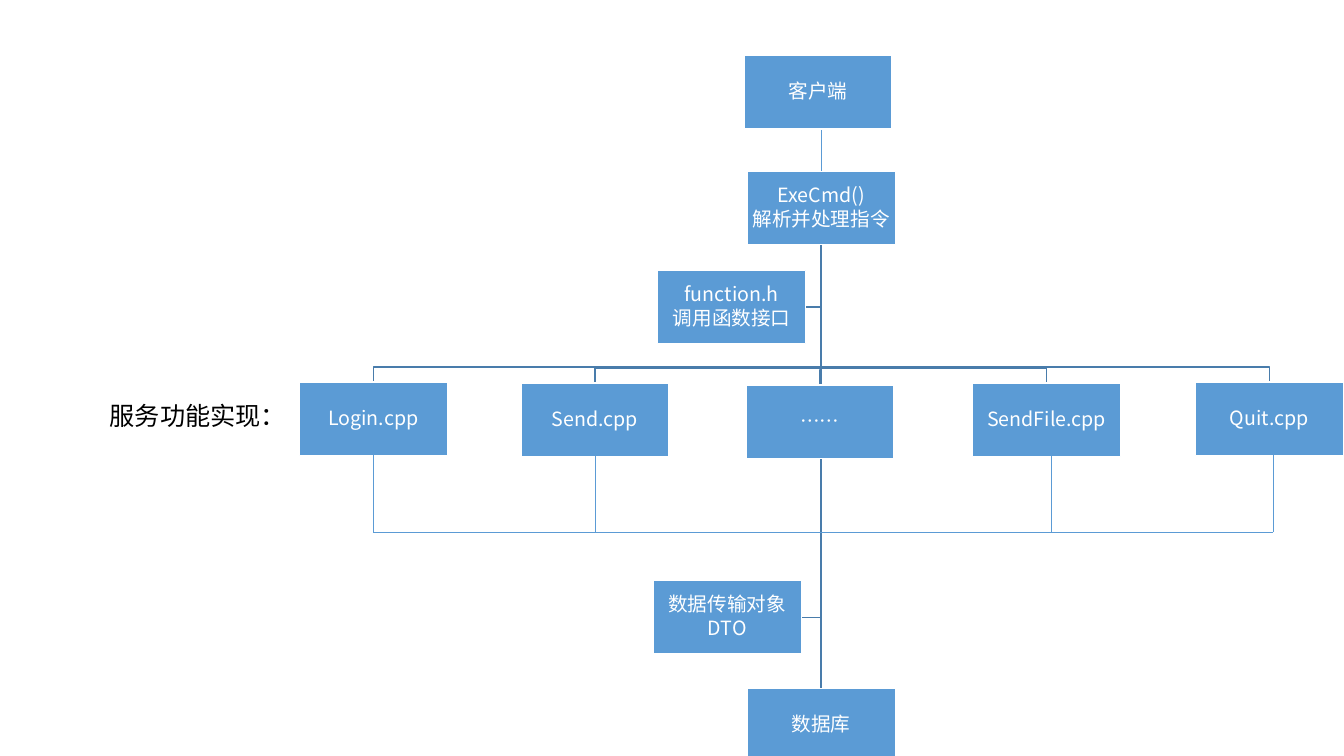
from dataclasses import dataclass

from lxml import etree
from pptx import Presentation
from pptx.dml.color import RGBColor
from pptx.enum import shapes, text
from pptx.oxml.ns import qn
from pptx.util import Pt


@dataclass(frozen=True)
class Theme:
    font: str = "Noto Sans CJK SC"
    fill: str = "5B9BD5"
    branch: str = "497CAB"
    light: str = "FFFFFF"
    dark: str = "000000"
    box_size: float = 14
    label_size: float = 18
    branch_width: float = 1
    link_width: float = 0.5


BOX_WIDTH, BOX_HEIGHT = 105.8, 52.4
TOP, BOTTOM = 0, 2


def write(frame, content, size, color, align=None, spacing=None, after=None):
    for index, line in enumerate(content.split("\n")):
        para = frame.paragraphs[0] if index == 0 else frame.add_paragraph()
        para.alignment = align
        para.line_spacing = spacing
        if after is not None:
            para.space_after = Pt(after)
        span = para.add_run()
        span.text = line
        span.font.size = Pt(size)
        span.font.name = theme.font
        span.font.color.rgb = RGBColor.from_string(color)
        east_asian = etree.SubElement(span.font._element, qn("a:ea"))
        east_asian.set("typeface", theme.font)


class Deck:
    def __init__(self, style, width, height):
        self.style = style
        self.file = Presentation()
        self.file.slide_width, self.file.slide_height = Pt(width), Pt(height)
        self.page = self.file.slides.add_slide(self.file.slide_layouts[6])

    def stroke(self, line, color, width):
        line.color.rgb = RGBColor.from_string(color)
        line.width = Pt(width)

    def box(self, content, left, top):
        box = self.page.shapes.add_shape(
            shapes.MSO_SHAPE.RECTANGLE, Pt(left), Pt(top), Pt(BOX_WIDTH), Pt(BOX_HEIGHT))
        box.shadow.inherit = False
        box.fill.solid()
        box.fill.fore_color.rgb = RGBColor.from_string(self.style.fill)
        self.stroke(box.line, self.style.light, self.style.branch_width)
        frame = box.text_frame
        frame.word_wrap = True
        frame.vertical_anchor = text.MSO_ANCHOR.MIDDLE
        frame.margin_left = frame.margin_right = Pt(0.7)
        frame.margin_top = frame.margin_bottom = Pt(0.7)
        write(frame, content, self.style.box_size, self.style.light,
              align=text.PP_ALIGN.CENTER, spacing=0.9, after=1.8)
        return box

    def label(self, content, left, top, width, height):
        box = self.page.shapes.add_textbox(Pt(left), Pt(top), Pt(width), Pt(height))
        box.text_frame.word_wrap = True
        write(box.text_frame, content, self.style.label_size, self.style.dark)

    def branch(self, *points):
        corners = [(Pt(x), Pt(y)) for x, y in points]
        builder = self.page.shapes.build_freeform(*corners[0], scale=1.0)
        builder.add_line_segments(corners[1:], close=False)
        path = builder.convert_to_shape()
        path.shadow.inherit = False
        path.fill.background()
        self.stroke(path.line, self.style.branch, self.style.branch_width)

    def line(self, start, end, color, width):
        link = self.page.shapes.add_connector(
            shapes.MSO_CONNECTOR.STRAIGHT, *(Pt(value) for value in start + end))
        self.stroke(link.line, color, width)
        etree.SubElement(link._element.spPr, qn("a:effectLst"))
        return link

    def link(self, start, end):
        return self.line(start, end, self.style.fill, self.style.link_width)

    def save(self):
        self.file.save("out.pptx")


theme = Theme()


def main():
    deck = Deck(theme, 960, 540)
    command_left, command_top = 533.7, 122.4
    trunk_x = command_left + BOX_WIDTH / 2
    trunk_top = command_top + BOX_HEIGHT + 0.8
    database_top, rail_y = 491.8, 380.2
    services = [
        ("Login.cpp", 213.8, 272.9, 266.7),
        ("Send.cpp", 372.2, 273.6, 425.1),
        ("……", 532.8, 275, None),
        ("SendFile.cpp", 694.8, 273.6, 751),
        ("Quit.cpp", 853.9, 272.9, 909.4),
    ]
    helpers = [
        ("function.h\n调用函数接口", 469.8, 193),
        ("数据传输对象\nDTO", 466.6, 414.7),
    ]

    for _, left, top in helpers:
        middle = top + BOX_HEIGHT / 2
        deck.branch((trunk_x, trunk_top), (trunk_x, middle), (left + BOX_WIDTH, middle))
    for _, left, top, _ in services:
        center, bend = left + BOX_WIDTH / 2, top - 10.8
        deck.branch((trunk_x, trunk_top), (trunk_x, bend), (center, bend), (center, top))
    trunk = deck.line((trunk_x, trunk_top), (trunk_x, database_top),
                      theme.branch, theme.branch_width)

    command = deck.box("ExeCmd()\n解析并处理指令", command_left, command_top)
    database = deck.box("数据库", command_left, database_top)
    trunk.begin_connect(command, BOTTOM)
    trunk.end_connect(database, TOP)
    for content, left, top in helpers:
        deck.box(content, left, top)
    deck.box("客户端", 531.4, 39.8)
    deck.label("服务功能实现：", 71.3, 282.2, 141.8, 28.8)

    for content, left, top, drop_x in services:
        service = deck.box(content, left, top)
        if drop_x is None:
            continue
        drop = deck.link((drop_x, top + BOX_HEIGHT), (drop_x, rail_y))
        if abs(drop_x - left - BOX_WIDTH / 2) < 0.1:
            drop.begin_connect(service, BOTTOM)
    for end_x in (services[0][3], services[-1][3]):
        deck.link((end_x, rail_y), (trunk_x, rail_y))
    request = deck.link((trunk_x, 92.9), (trunk_x, command_top))
    request.end_connect(command, TOP)
    deck.save()


if __name__ == "__main__":
    main()
